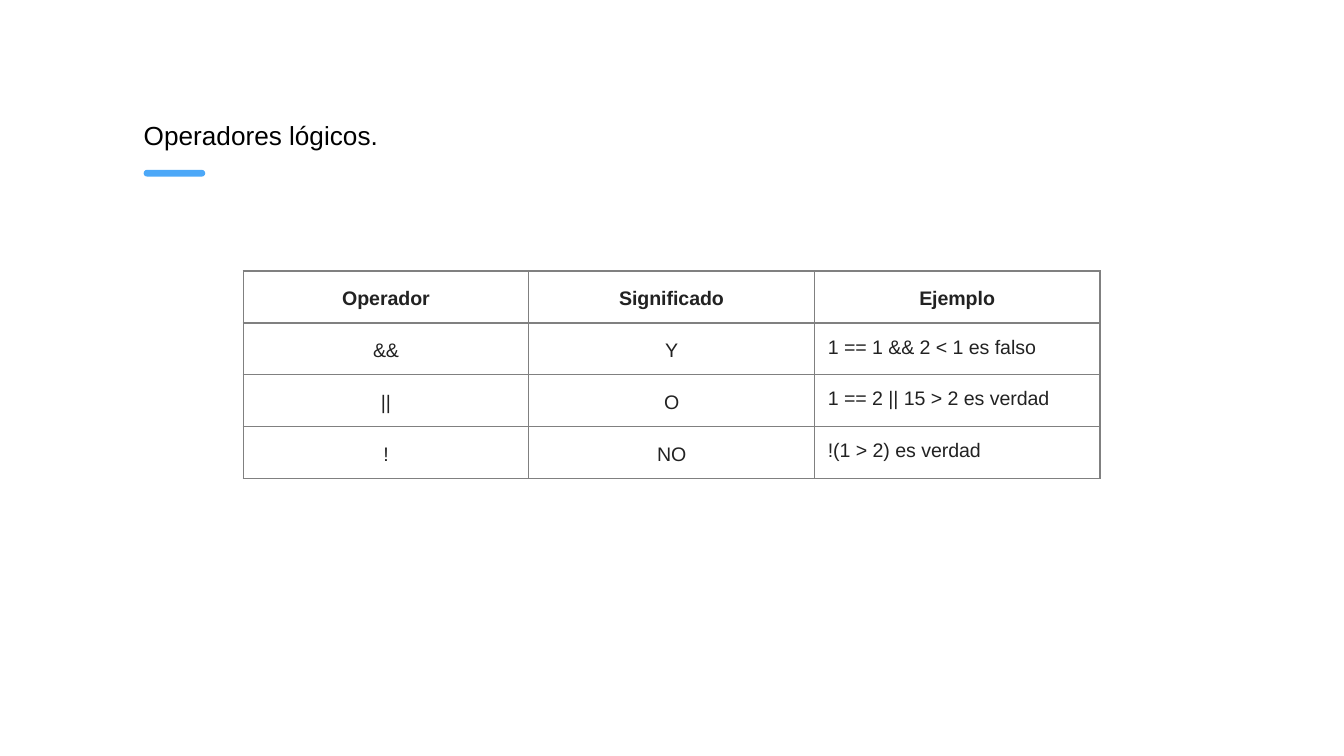
from lxml.etree import SubElement
from pptx import Presentation
from pptx.dml.color import RGBColor
from pptx.enum.shapes import MSO_SHAPE
from pptx.enum.text import MSO_ANCHOR, MSO_AUTO_SIZE, PP_ALIGN
from pptx.oxml.ns import qn
from pptx.util import Pt

OPERATORS = [
    ("Operador", "Significado", "Ejemplo"),
    ("&&", "Y", "1 == 1 && 2 < 1 es falso"),
    ("||", "O", "1 == 2 || 15 > 2 es verdad"),
    ("!", "NO", "!(1 > 2) es verdad"),
]


def color(value):
    return RGBColor.from_string(value)


class SlideBuilder:
    font = "Arial"
    ink, title_ink, accent = "222222", "000000", "4CA8F8"
    paper, grid = "FFFFFF", "808080"
    inset = 7.2

    def __init__(self, page):
        self.page = page
        page.background.fill.solid()
        page.background.fill.fore_color.rgb = color(self.paper)

    def style(self, para, size, ink, bold=False, align=PP_ALIGN.LEFT):
        para.alignment = align
        font = para.font
        font.name, font.size, font.bold = self.font, Pt(size), bold
        font.color.rgb = color(ink)

    def title(self, text, left, top, width, height):
        box = self.page.shapes.title
        box.left, box.top, box.width, box.height = map(Pt, (left, top, width, height))
        frame = box.text_frame
        frame.text = text
        frame.word_wrap = True
        frame.auto_size = MSO_AUTO_SIZE.NONE
        frame.vertical_anchor = MSO_ANCHOR.TOP
        frame.margin_left = frame.margin_right = Pt(self.inset)
        frame.margin_top = frame.margin_bottom = Pt(self.inset)
        self.style(frame.paragraphs[0], 14, self.title_ink)

    def accent_bar(self, left, top, width, height):
        bar = self.page.shapes.add_shape(
            MSO_SHAPE.ROUNDED_RECTANGLE, *map(Pt, (left, top, width, height)))
        bar.adjustments[0] = 0.5
        bar.shadow.inherit = False
        bar.fill.solid()
        bar.fill.fore_color.rgb = color(self.accent)
        bar.line.fill.background()

    def border(self, cell):
        properties = cell._tc.get_or_add_tcPr()
        for side in ("a:lnL", "a:lnR", "a:lnT", "a:lnB"):
            line = SubElement(properties, qn(side), w=str(Pt(0.75)))
            fill = SubElement(line, qn("a:solidFill"))
            SubElement(fill, qn("a:srgbClr"), val=self.grid)

    def table(self, rows, left, top, column_width, row_height):
        """Centre the header row and all columns but the last."""
        columns = len(rows[0])
        table = self.page.shapes.add_table(
            len(rows), columns, Pt(left), Pt(top),
            Pt(column_width * columns), Pt(row_height * len(rows))).table
        for column in table.columns:
            column.width = Pt(column_width)
        for r, texts in enumerate(rows):
            table.rows[r].height = Pt(row_height)
            for c, text in enumerate(texts):
                cell = table.cell(r, c)
                cell.text = text
                cell.margin_left = cell.margin_right = Pt(self.inset)
                cell.margin_top = cell.margin_bottom = Pt(self.inset)
                self.border(cell)
                cell.fill.solid()
                cell.fill.fore_color.rgb = color(self.paper)
                centred = r == 0 or c < columns - 1
                para = cell.text_frame.paragraphs[0]
                self.style(para, 10.5, self.ink, bold=r == 0,
                           align=PP_ALIGN.CENTER if centred else PP_ALIGN.LEFT)
                if centred:
                    para.line_spacing = 1.15


def main():
    deck = Presentation()
    deck.slide_width, deck.slide_height = Pt(720), Pt(405)
    slide = SlideBuilder(deck.slides.add_slide(deck.slide_layouts[5]))
    slide.accent_bar(77, 91, 33, 3.6)
    slide.title("Operadores lógicos.", 69.8, 57, 338, 31)
    slide.table(OPERATORS, 130.3, 145.2, 153, 27.8)
    deck.save("out.pptx")


if __name__ == "__main__":
    main()
